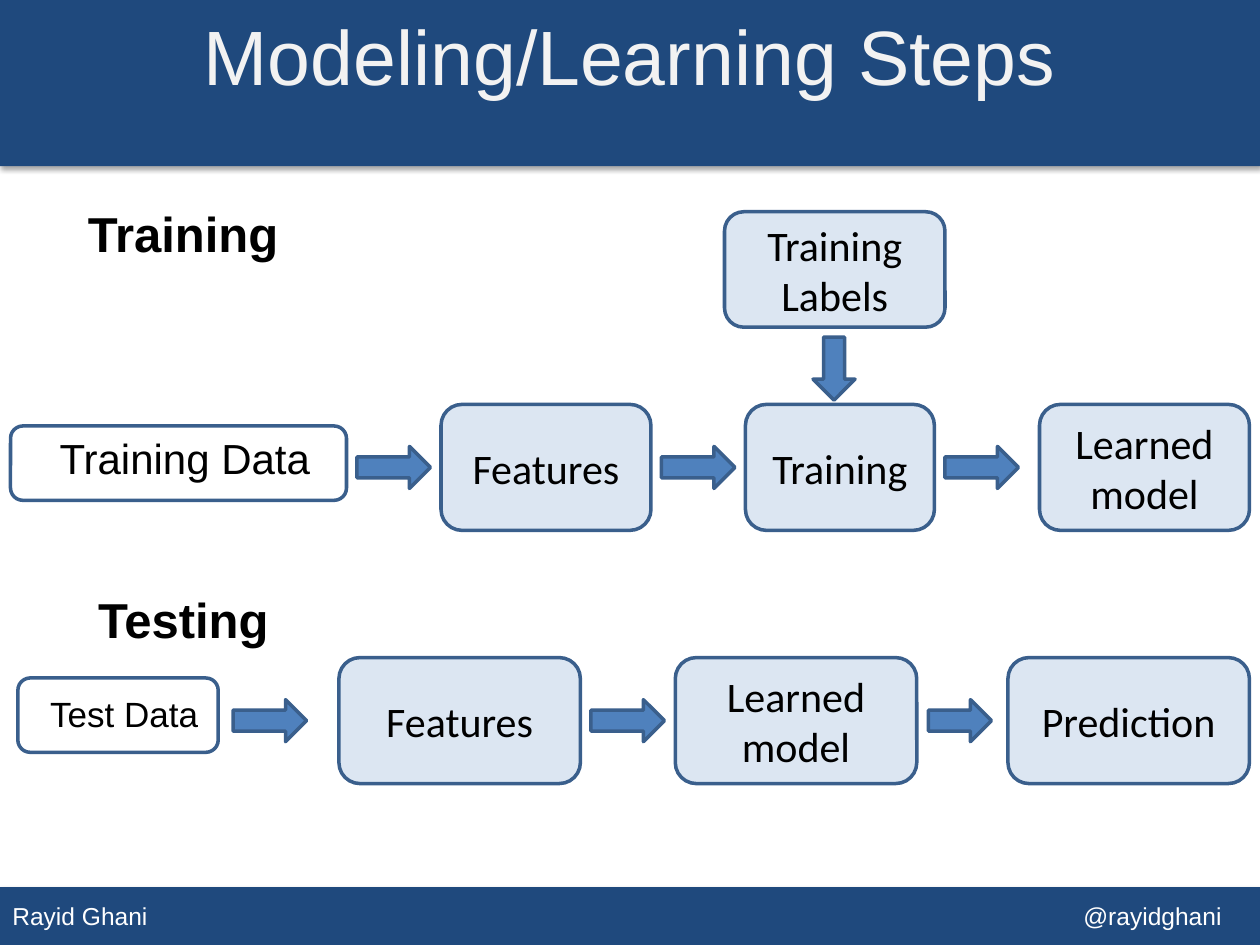
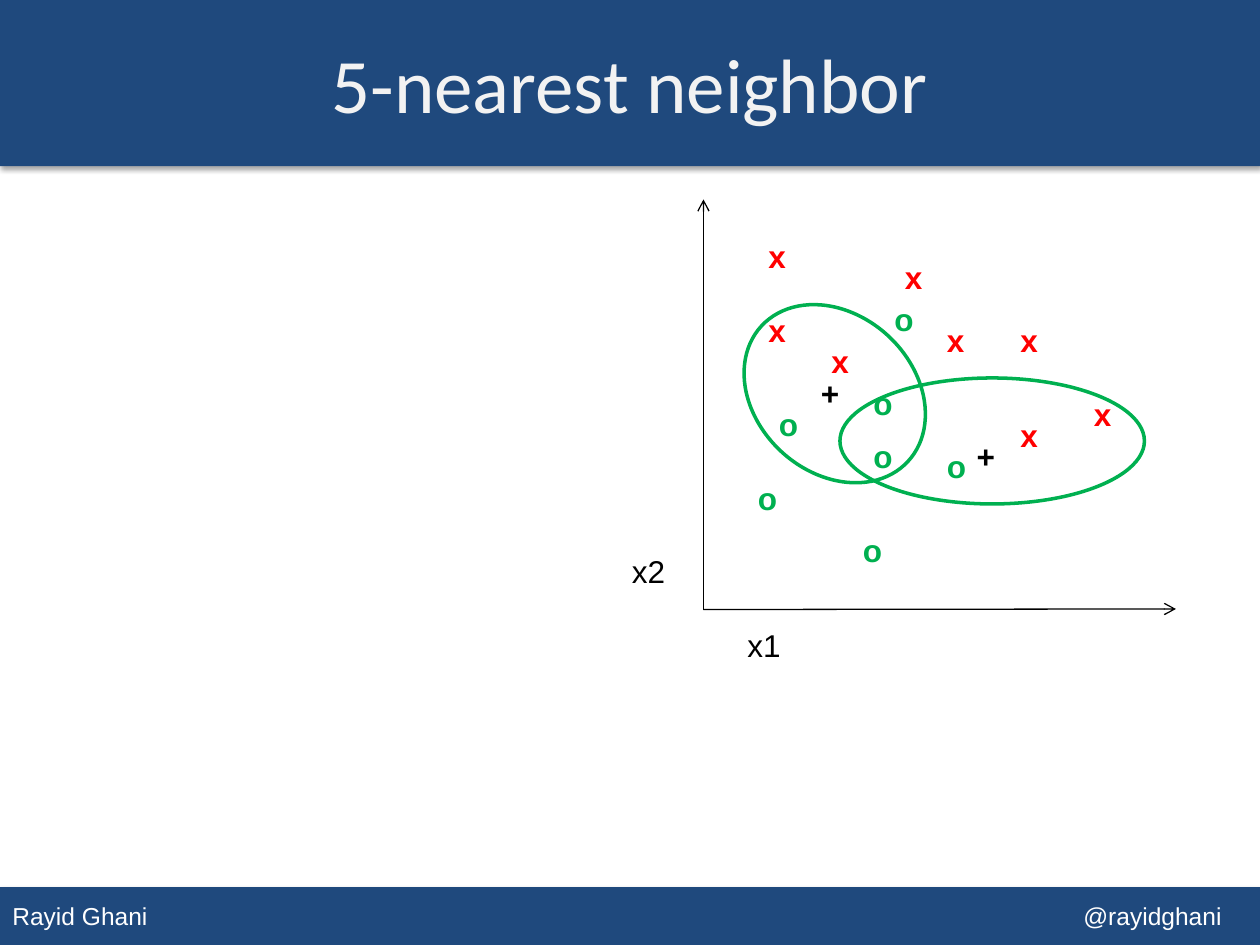
from dataclasses import dataclass

import lxml.etree
import pptx
import pptx.dml.color
import pptx.enum.shapes
import pptx.enum.text
import pptx.oxml.ns
import pptx.presentation
import pptx.shapes.autoshape
import pptx.slide
import pptx.text.text
import pptx.util

Pt = pptx.util.Pt
RGBColor = pptx.dml.color.RGBColor
Geometry = pptx.enum.shapes.MSO_SHAPE
Align = pptx.enum.text.PP_ALIGN
Anchor = pptx.enum.text.MSO_ANCHOR
AutoSize = pptx.enum.text.MSO_AUTO_SIZE
Slide = pptx.slide.Slide
AutoShape = pptx.shapes.autoshape.Shape
qn = pptx.oxml.ns.qn

NAVY = RGBColor(0x1F, 0x49, 0x7D)
PALE_BLUE = RGBColor(0xDC, 0xE6, 0xF2)
ARROW_BLUE = RGBColor(0x4F, 0x81, 0xBD)
OUTLINE_BLUE = RGBColor(0x3A, 0x5F, 0x8C)
RED = RGBColor(0xFF, 0x00, 0x00)
GREEN = RGBColor(0x00, 0xB0, 0x50)
OFF_WHITE = RGBColor(0xF2, 0xF2, 0xF2)
WHITE = RGBColor(0xFF, 0xFF, 0xFF)
BLACK = RGBColor(0x00, 0x00, 0x00)

SLIDE_WIDTH, SLIDE_HEIGHT = 720, 540
HEADER_HEIGHT, FOOTER_TOP = 95, 507
OUTLINE_WIDTH = 2


@dataclass(frozen=True)
class Box:
    """Position and size in points."""
    left: float
    top: float
    width: float
    height: float

    def lengths(self) -> tuple[pptx.util.Length, ...]:
        return Pt(self.left), Pt(self.top), Pt(self.width), Pt(self.height)


@dataclass(frozen=True)
class Font:
    name: str
    size: float
    color: RGBColor = BLACK
    bold: bool = False


@dataclass(frozen=True)
class Step:
    box: Box
    text: str


@dataclass(frozen=True)
class Label:
    box: Box
    text: str
    font: Font
    align: Align = Align.LEFT
    wrap: bool = False


@dataclass(frozen=True)
class BlockArrow:
    box: Box
    rotation: float = 0


@dataclass(frozen=True)
class PointClass:
    """One kind of marker and the places where it stands."""
    symbol: str
    color: RGBColor
    places: tuple[tuple[float, float], ...]


STEP_FONT = Font("Calibri", 24)
HEADING_FONT = Font("Arial", 28, bold=True)
AXIS_FONT = Font("Arial", 18)
FOOTER_FONT = Font("Arial", 14, WHITE)

TRAINING_TOP, TESTING_TOP = 231.1, 375.8
STEP_HEIGHT = 72
ARROW_WIDTH, ARROW_HEIGHT = 42, 24
ARROW_OFFSET = (STEP_HEIGHT - ARROW_HEIGHT) / 2

STEPS = [
    Step(Box(414, 121, 126, 66), "Training Labels"),
    *(Step(Box(left, TRAINING_TOP, width, STEP_HEIGHT), text)
      for left, width, text in ((252, 120, "Features"), (426, 108, "Training"),
                                (594, 120, "Learned model"))),
    *(Step(Box(left, TESTING_TOP, 138, STEP_HEIGHT), text)
      for left, text in ((193.7, "Features"), (385.9, "Learned model"),
                         (576, "Prediction"))),
]
DATA_CARDS = [Box(6, 243.4, 192, 42.5), Box(10.2, 387.4, 114.5, 42.5)]
BLOCK_ARROWS = [
    *(BlockArrow(Box(left, TRAINING_TOP + ARROW_OFFSET, ARROW_WIDTH, ARROW_HEIGHT))
      for left in (204, 378, 540)),
    *(BlockArrow(Box(left, TESTING_TOP + ARROW_OFFSET, width, ARROW_HEIGHT))
      for left, width in ((133.2, ARROW_WIDTH), (337.7, ARROW_WIDTH), (530.6, 36))),
    BlockArrow(Box(458.6, 198.7, 36, ARROW_HEIGHT), 90),
]
FLOW_LABELS = [
    Label(Box(43.2, 113, 124.6, 41), "Training", HEADING_FONT),
    Label(Box(49, 333.4, 113, 41), "Testing", HEADING_FONT),
    Label(Box(21.6, 243.4, 168, 36.4), "Training Data", Font("Arial", 24), Align.CENTER, True),
    Label(Box(21.6, 392.4, 124, 31.5), "Test Data", Font("Arial", 20), wrap=True),
]

POINT_CLASSES = [
    PointClass("x", RED, ((534, 180), (576, 180), (576, 234), (618, 222), (432, 132),
                          (432, 174), (510, 144), (468, 192))),
    PointClass("o", GREEN, ((504, 168), (534, 252), (426, 270), (438, 228), (486, 300),
                            (492, 246), (492, 216))),
    PointClass("+", BLACK, ((462, 210), (551, 246))),
]
POINT_WIDTH, POINT_HEIGHT = 25, 29
AXIS_LABELS = [
    Label(Box(354, 312, 34, POINT_HEIGHT), "x2", AXIS_FONT),
    Label(Box(420, 354, 34, POINT_HEIGHT), "x1", AXIS_FONT),
]
AXIS_ORIGIN = (402, 348.3)
AXIS_ENDS = ((402, 114), (672, 348))
NEIGHBORHOODS = ((Box(420, 180, 114, 90), 42.8), (Box(480, 216, 174, 72), 0))


def add_run(paragraph: pptx.text.text._Paragraph, text: str, font: Font) -> None:
    run = paragraph.add_run()
    run.text = text
    run.font.name = font.name
    run.font.size = Pt(font.size)
    run.font.bold = font.bold
    run.font.color.rgb = font.color


def add_filled_shape(slide: Slide, geometry: Geometry, box: Box, fill: RGBColor | None,
                     outline: RGBColor | None = None) -> AutoShape:
    shape = slide.shapes.add_shape(geometry, *box.lengths())
    shape.shadow.inherit = False
    if fill is None:
        shape.fill.background()
    else:
        shape.fill.solid()
        shape.fill.fore_color.rgb = fill
    if outline is None:
        shape.line.fill.background()
    else:
        shape.line.color.rgb = outline
        shape.line.width = Pt(OUTLINE_WIDTH)
    return shape


def add_label(slide: Slide, label: Label) -> None:
    frame = slide.shapes.add_textbox(*label.box.lengths()).text_frame
    frame.word_wrap = label.wrap
    frame.auto_size = AutoSize.SHAPE_TO_FIT_TEXT
    paragraph = frame.paragraphs[0]
    paragraph.alignment = label.align
    add_run(paragraph, label.text, label.font)


def add_step(slide: Slide, step: Step) -> None:
    shape = add_filled_shape(slide, Geometry.ROUNDED_RECTANGLE, step.box, PALE_BLUE, OUTLINE_BLUE)
    paragraph = shape.text_frame.paragraphs[0]
    paragraph.alignment = Align.CENTER
    add_run(paragraph, step.text, STEP_FONT)


def add_axis(slide: Slide, end: tuple[float, float]) -> None:
    axis = slide.shapes.add_connector(
        pptx.enum.shapes.MSO_CONNECTOR.STRAIGHT,
        *(Pt(value) for value in (*AXIS_ORIGIN, *end)))
    axis.line.color.rgb = BLACK
    axis.line.width = Pt(0.75)
    properties = axis.element.spPr
    lxml.etree.SubElement(properties.find(qn("a:ln")), qn("a:tailEnd"), type="arrow")
    lxml.etree.SubElement(properties, qn("a:effectLst"))


def add_band(slide: Slide, box: Box) -> AutoShape:
    """Draw a shadowed band and move it to the back of the slide master."""
    band = add_filled_shape(slide, Geometry.RECTANGLE, box, NAVY)
    effects = band.element.spPr.find(qn("a:effectLst"))
    shadow = lxml.etree.SubElement(
        effects, qn("a:outerShdw"), blurRad=str(Pt(3.1)), dist=str(Pt(1.8)),
        dir="5400000", rotWithShape="0")
    color = lxml.etree.SubElement(shadow, qn("a:srgbClr"), val=str(BLACK))
    lxml.etree.SubElement(color, qn("a:alpha"), val="35000")
    slide.slide_layout.slide_master.element.cSld.spTree.insert(2, band.element)
    return band


def add_master_bands(slide: Slide) -> None:
    add_band(slide, Box(0, 0, SLIDE_WIDTH, HEADER_HEIGHT))
    footer = add_band(slide, Box(0, FOOTER_TOP, SLIDE_WIDTH, SLIDE_HEIGHT - FOOTER_TOP))
    paragraph = footer.text_frame.paragraphs[0]
    paragraph.alignment = Align.LEFT
    add_run(paragraph, "Rayid Ghani\t@rayidghani", FOOTER_FONT)
    properties = paragraph._p.get_or_add_pPr()
    tabs = lxml.etree.SubElement(properties, qn("a:tabLst"))
    lxml.etree.SubElement(tabs, qn("a:tab"), pos=str(Pt(612)), algn="l")


def add_titled_slide(presentation: pptx.presentation.Presentation, text: str, box: Box,
                     font_name: str) -> Slide:
    slide = presentation.slides.add_slide(presentation.slide_layouts[5])
    title = slide.shapes.title
    title.left, title.top, title.width, title.height = box.lengths()
    frame = title.text_frame
    frame.auto_size = AutoSize.NONE
    frame.vertical_anchor = Anchor.MIDDLE
    paragraph = frame.paragraphs[0]
    paragraph.alignment = Align.CENTER
    add_run(paragraph, text, Font(font_name, 44, OFF_WHITE))
    return slide


def fill_learning_steps(slide: Slide) -> None:
    for step in STEPS:
        add_step(slide, step)
    for card in DATA_CARDS:
        add_filled_shape(slide, Geometry.ROUNDED_RECTANGLE, card, None, OUTLINE_BLUE)
    for arrow in BLOCK_ARROWS:
        shape = add_filled_shape(slide, Geometry.RIGHT_ARROW, arrow.box, ARROW_BLUE, OUTLINE_BLUE)
        shape.rotation = arrow.rotation
    for label in FLOW_LABELS:
        add_label(slide, label)


def fill_nearest_neighbor(slide: Slide) -> None:
    for point_class in POINT_CLASSES:
        font = Font("Arial", 18, point_class.color, bold=True)
        for left, top in point_class.places:
            box = Box(left, top, POINT_WIDTH, POINT_HEIGHT)
            add_label(slide, Label(box, point_class.symbol, font))
    for end in AXIS_ENDS:
        add_axis(slide, end)
    for label in AXIS_LABELS:
        add_label(slide, label)
    for box, rotation in NEIGHBORHOODS:
        add_filled_shape(slide, Geometry.OVAL, box, None, GREEN).rotation = rotation


def main() -> None:
    presentation = pptx.Presentation()
    presentation.slide_width = Pt(SLIDE_WIDTH)
    presentation.slide_height = Pt(SLIDE_HEIGHT)

    learning_steps = add_titled_slide(
        presentation, "Modeling/Learning Steps", Box(36, 0, 648, 62.6), "Arial")
    add_master_bands(learning_steps)
    fill_learning_steps(learning_steps)

    nearest_neighbor = add_titled_slide(
        presentation, "5-nearest neighbor", Box(0, 2, SLIDE_WIDTH, 90), "Calibri")
    fill_nearest_neighbor(nearest_neighbor)

    presentation.save("out.pptx")


if __name__ == "__main__":
    main()
